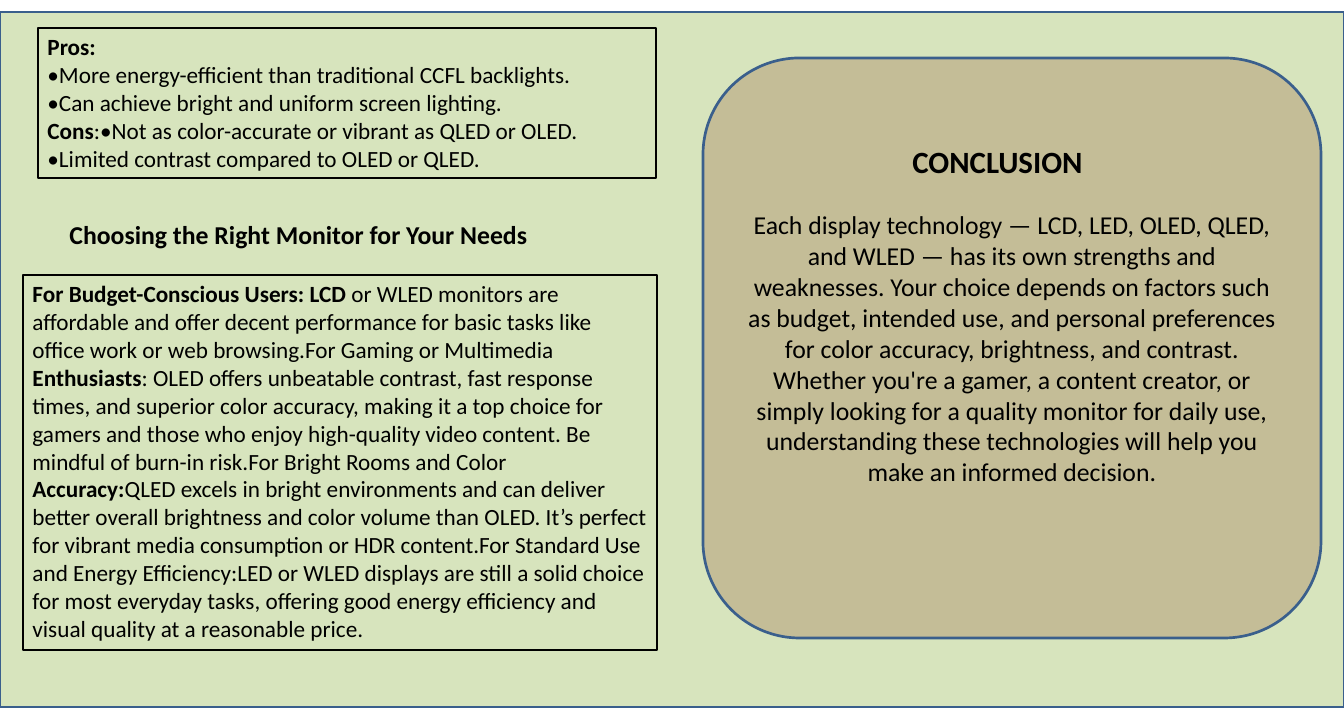
"""Build a slide on choosing a monitor, with a conclusion panel."""
from pptx import Presentation, util as u
from pptx.dml.color import RGBColor
from pptx.enum import shapes, text

PX = 9525
THEME = {
    "font": "Calibri", "ink": "000000", "green": "D7E4BD", "tan": "C4BD97", "blue": "3A5F8C",
    "body": 17.4, "heading": 19.3, "title": 23.2, "thin": 1.5, "thick": 2,
}
B, N = True, False

PROS_CONS = [
    [("Pros:", B)],
    [("•More energy-efficient than traditional CCFL backlights.", N)],
    [("•Can achieve bright and uniform screen lighting.", N)],
    [("Cons", B), (":•Not as color-accurate or vibrant as QLED or OLED.", N)],
    [("•Limited contrast compared to OLED or QLED.", N)],
]
HEADING = [[("Choosing the Right Monitor for Your Needs", B)]]
ADVICE = [[
    ("For Budget-Conscious Users: LCD ", B),
    ("or WLED monitors are affordable and offer decent performance for basic tasks like office "
     "work or web browsing.For Gaming or Multimedia ", N),
    ("Enthusiasts", B),
    (": OLED offers unbeatable contrast, fast response times, and superior color accuracy, making "
     "it a top choice for gamers and those who enjoy high-quality video content. Be mindful of "
     "burn-in risk.For Bright Rooms and Color ", N),
    ("Accuracy:", B),
    ("QLED excels in bright environments and can deliver better overall brightness and color volume "
     "than OLED. It’s perfect for vibrant media consumption or HDR content.For Standard Use and "
     "Energy Efficiency:LED or WLED displays are still a solid choice for most everyday tasks, "
     "offering good energy efficiency and visual quality at a reasonable price.", N),
]]
CONCLUSION = [[
    ("Each display technology — LCD, LED, OLED, QLED, and WLED — has its own strengths and "
     "weaknesses. Your choice depends on factors such as budget, intended use, and personal "
     "preferences for color accuracy, brightness, and contrast. Whether you're a gamer, a content "
     "creator, or simply looking for a quality monitor for daily use, understanding these "
     "technologies will help you make an informed decision.", N),
]]
TITLE = [[("CONCLUSION", B)]]

RECT, ROUND = shapes.MSO_SHAPE.RECTANGLE, shapes.MSO_SHAPE.ROUNDED_RECTANGLE
LEFT, CENTER = text.PP_ALIGN.LEFT, text.PP_ALIGN.CENTER
TOP, MIDDLE = text.MSO_ANCHOR.TOP, text.MSO_ANCHOR.MIDDLE

ITEMS = [
    {"box": (0, 12, 1344, 695), "kind": RECT, "fill": "green", "line": ("blue", "thick")},
    {"box": (38, 28, 618, 150), "kind": RECT, "line": ("ink", "thin"), "text": PROS_CONS},
    {"box": (23, 275, 634, 375), "kind": RECT, "line": ("ink", "thin"), "text": ADVICE},
    {"box": (60, 214, 525, 40), "text": HEADING, "size": "heading"},
    {"box": (703, 58, 618, 580), "kind": ROUND, "fill": "tan", "line": ("blue", "thick"),
     "text": CONCLUSION, "size": "heading", "align": CENTER, "anchor": MIDDLE},
    {"box": (903, 138, 309, 47), "text": TITLE, "size": "title"},
]


def color(name):
    """Return a theme colour."""
    return RGBColor.from_string(THEME[name])


def add_outline(slide, item, box):
    """Add a preset shape with its fill and line."""
    sp = slide.shapes.add_shape(item["kind"], *box)
    sp.shadow.inherit = False
    if "fill" in item:
        sp.fill.solid()
        sp.fill.fore_color.rgb = color(item["fill"])
    else:
        sp.fill.background()
    ink, width = item["line"]
    sp.line.color.rgb = color(ink)
    sp.line.width = u.Pt(THEME[width])
    return sp


def write(tf, item):
    """Fill a text frame with paragraphs of (text, bold) runs."""
    tf.word_wrap = True
    tf.vertical_anchor = item.get("anchor", TOP)
    size = u.Pt(THEME[item.get("size", "body")])
    for i, runs in enumerate(item["text"]):
        p = tf.add_paragraph() if i else tf.paragraphs[0]
        p.alignment = item.get("align", LEFT)
        for words, bold in runs:
            r = p.add_run()
            r.text = words
            for key, value in {"name": THEME["font"], "size": size, "bold": bold}.items():
                setattr(r.font, key, value)
            r.font.color.rgb = color("ink")


def main():
    """Build and save the slide."""
    prs = Presentation()
    prs.slide_width, prs.slide_height = 1344 * PX, 720 * PX
    slide = prs.slides.add_slide(prs.slide_layouts[6])
    for item in ITEMS:
        box = [v * PX for v in item["box"]]
        sp = add_outline(slide, item, box) if "kind" in item else slide.shapes.add_textbox(*box)
        if "text" in item:
            write(sp.text_frame, item)
    prs.save("out.pptx")


if __name__ == "__main__":
    main()
